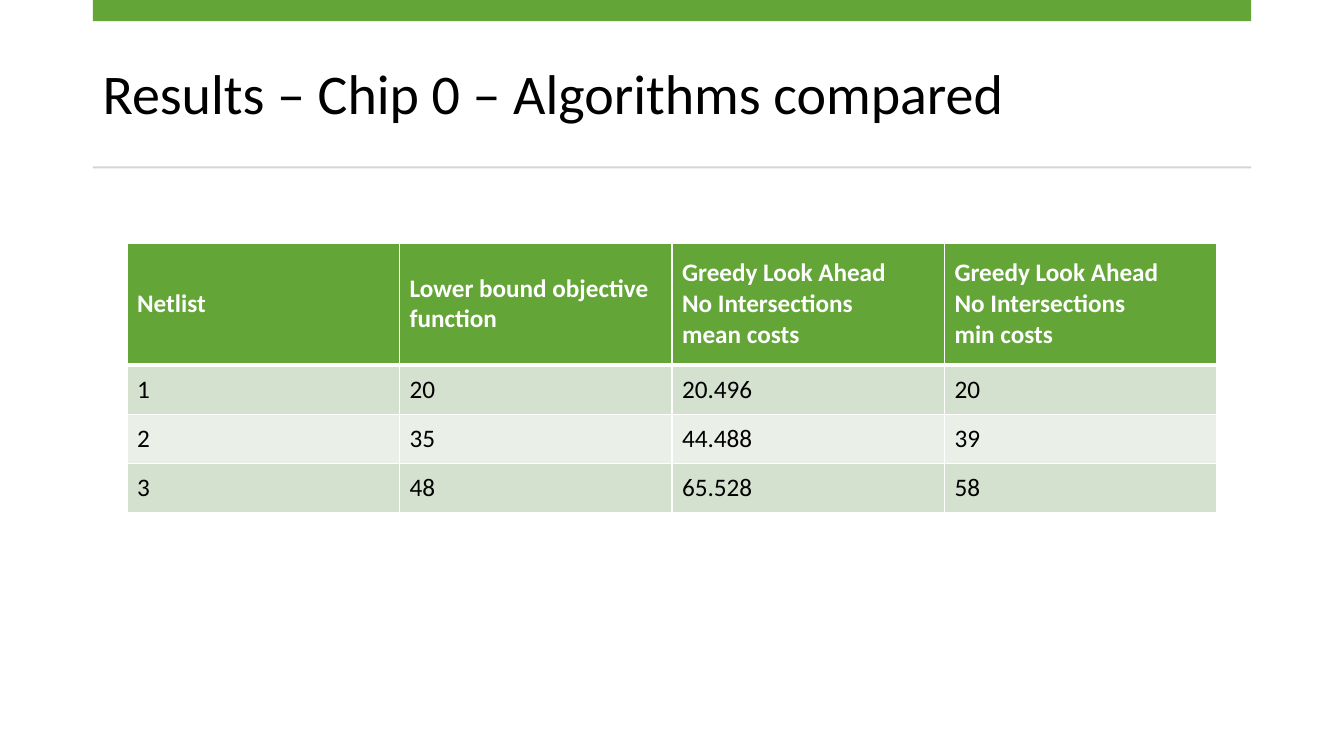
from lxml.etree import SubElement
from pptx import Presentation
from pptx.dml.color import RGBColor
from pptx.enum.shapes import MSO_SHAPE
from pptx.enum.text import MSO_ANCHOR
from pptx.oxml.ns import qn
from pptx.util import Inches, Pt

TITLE = "Results – Chip 0 – Algorithms compared"
HEADERS = [
    ["Netlist"],
    ["Lower bound objective function"],
    ["Greedy Look Ahead", "No Intersections", "mean costs"],
    ["Greedy Look Ahead", "No Intersections", "min costs"],
]
RESULTS = [
    ("1", "20", "20.496", "20"),
    ("2", "35", "44.488", "39"),
    ("3", "48", "65.528", "58"),
]
GREEN, GRAY, WHITE, BLACK = "63A537", "D5D5D5", "FFFFFF", "000000"
BANDS = ["D3E1CE", "EAF0E8"]
LEFT, WIDTH = 0.92, 11.49
BARS = [(0, 0.21, GREEN), (1.65, 0.02, GRAY)]
TABLE_LEFT, TABLE_TOP, TABLE_WIDTH = 1.26, 2.41, 10.81
HEADER_HEIGHT, ROW_HEIGHT = 1.21, 0.49


def color(value):
    return RGBColor.from_string(value)


def write(frame, lines, size=18, ink=BLACK, bold=False, spacing=None):
    frame.word_wrap = True
    for index, line in enumerate(lines):
        paragraph = frame.add_paragraph() if index else frame.paragraphs[0]
        paragraph.line_spacing = spacing
        run = paragraph.add_run()
        run.text = line
        run.font.name = "Calibri"
        run.font.size = Pt(size)
        run.font.bold = bold
        run.font.color.rgb = color(ink)


def add_borders(cell, **widths):
    properties = cell._tc.get_or_add_tcPr()
    for side in "LRTB":
        line = SubElement(properties, qn(f"a:ln{side}"), w=str(Pt(widths.get(side, 1))))
        fill = SubElement(line, qn("a:solidFill"))
        SubElement(fill, qn("a:srgbClr"), val=WHITE)


def fill_cell(cell, lines, fill, borders, **text_format):
    add_borders(cell, **borders)
    cell.fill.solid()
    cell.fill.fore_color.rgb = color(fill)
    cell.vertical_anchor = MSO_ANCHOR.MIDDLE
    write(cell.text_frame, lines, **text_format)


presentation = Presentation()
presentation.slide_width = Inches(13.33)
presentation.slide_height = Inches(7.5)
slide = presentation.slides.add_slide(presentation.slide_layouts[6])

title = slide.shapes.add_textbox(Inches(LEFT), Inches(0.37), Inches(WIDTH), Inches(1.18))
title.text_frame.vertical_anchor = MSO_ANCHOR.MIDDLE
write(title.text_frame, [TITLE], size=40, spacing=0.9)

for top, height, fill in BARS:
    bar = slide.shapes.add_shape(
        MSO_SHAPE.RECTANGLE, Inches(LEFT), Inches(top), Inches(WIDTH), Inches(height))
    bar.shadow.inherit = False
    bar.fill.solid()
    bar.fill.fore_color.rgb = color(fill)
    bar.line.fill.background()

table = slide.shapes.add_table(
    len(RESULTS) + 1, len(HEADERS), Inches(TABLE_LEFT), Inches(TABLE_TOP),
    Inches(TABLE_WIDTH), Inches(HEADER_HEIGHT + ROW_HEIGHT * len(RESULTS))).table
for column in table.columns:
    column.width = Inches(TABLE_WIDTH / len(HEADERS))
for index, row in enumerate(table.rows):
    row.height = Inches(ROW_HEIGHT if index else HEADER_HEIGHT)

for column, lines in enumerate(HEADERS):
    fill_cell(table.cell(0, column), lines, GREEN, {"B": 3}, ink=WHITE, bold=True)
for row, values in enumerate(RESULTS):
    borders = {} if row else {"T": 3}
    for column, value in enumerate(values):
        fill_cell(table.cell(row + 1, column), [value], BANDS[row % 2], borders)

presentation.save("out.pptx")
